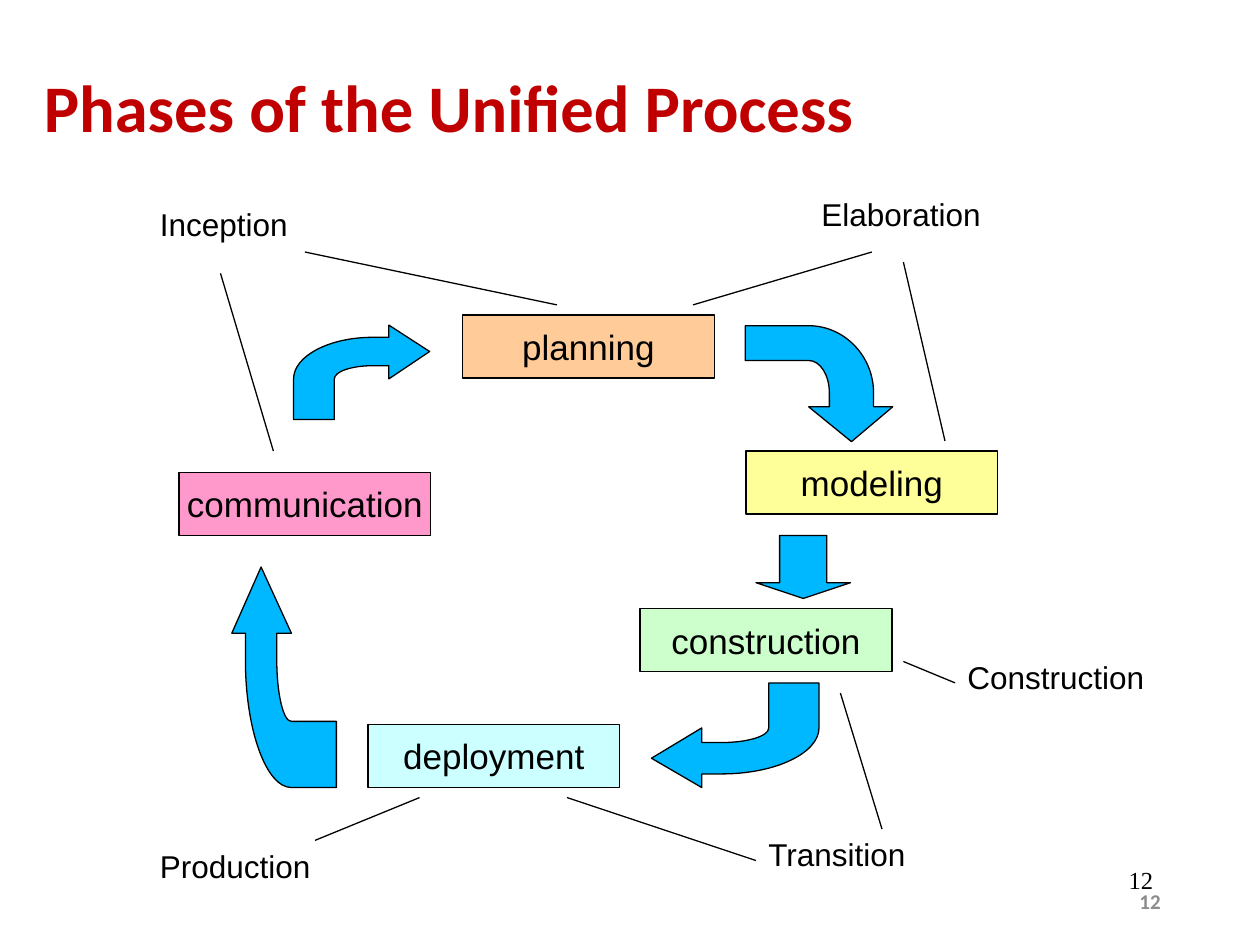
"""Build the slide showing the phases of the Unified Process as a cycle."""
from lxml import etree
from pptx import Presentation
from pptx.dml.color import RGBColor
from pptx.enum.shapes import MSO_CONNECTOR, MSO_SHAPE
from pptx.enum.text import MSO_ANCHOR, MSO_AUTO_SIZE, PP_ALIGN
from pptx.oxml.ns import qn
from pptx.util import Inches, Pt

COLORS = {
    "title": "C00000", "ink": "000000", "number": "8C8C8C", "arrow": "00B8FF",
    "communication": "FF99CC", "planning": "FFCC99", "modeling": "FFFF99",
    "construction": "CCFFCC", "deployment": "CCFFFF",
}


def write(shape, text, size, font="Arial", color="ink", bold=False,
          align=PP_ALIGN.LEFT, anchor=MSO_ANCHOR.TOP, wrap=True, spacing=1.0):
    frame = shape.text_frame
    frame.text = text
    frame.word_wrap = wrap
    frame.vertical_anchor = anchor
    paragraph = frame.paragraphs[0]
    paragraph.alignment = align
    paragraph.line_spacing = spacing
    style = paragraph.runs[0].font
    style.name, style.size, style.bold = font, Pt(size), bold
    style.color.rgb = RGBColor.from_string(COLORS[color])


def paint(shape, color):
    shape.shadow.inherit = False
    shape.fill.solid()
    shape.fill.fore_color.rgb = RGBColor.from_string(COLORS[color])
    shape.line.color.rgb = RGBColor.from_string(COLORS["ink"])
    shape.line.width = Pt(0.75)


deck = Presentation()
deck.slide_width, deck.slide_height = Inches(10), Inches(7.5)
shapes = deck.slides.add_slide(deck.slide_layouts[6]).shapes

date_line = shapes.add_textbox(Inches(7.17), Inches(6.83), Inches(2.08), Inches(0.32))
write(date_line, "12", 14, "Times New Roman", align=PP_ALIGN.RIGHT, spacing=0.95)
date_line.text_frame.auto_size = MSO_AUTO_SIZE.SHAPE_TO_FIT_TEXT

title = shapes.add_textbox(Inches(0.25), Inches(0.25), Inches(8.5), Inches(1.25))
write(title, "Phases of the Unified Process", 38, "Calibri", "title", True,
      anchor=MSO_ANCHOR.MIDDLE, spacing=0.95)

activities = [("communication", 1.42, 3.75), ("planning", 3.67, 2.5),
              ("modeling", 5.92, 3.58), ("construction", 5.08, 4.83),
              ("deployment", 2.92, 5.75)]
for activity, left, top in activities:
    box = shapes.add_shape(MSO_SHAPE.RECTANGLE, Inches(left), Inches(top),
                           Inches(2), Inches(0.5))
    paint(box, activity)
    write(box, activity, 20, align=PP_ALIGN.CENTER, anchor=MSO_ANCHOR.MIDDLE, wrap=False)

# Unit outline of a bent arrow pointing right, with the control points of its two curves
bent_arrow = [(1, 0.28), (0.7, 0), (0.7, 0.13), (0.58, 0.13),
              (0.26, 0.13), (0, 0.33), (0, 0.57), (0, 1), (0.3, 1), (0.3, 0.57),
              (0.3, 0.49), (0.43, 0.43), (0.58, 0.43), (0.7, 0.43), (0.7, 0.57)]
curve_starts = [3, 9]

bends = [(2.33, 2.58, 1.08, 0.75, 0), (6.04, 2.46, 0.92, 1.17, 90),
         (5.17, 5.42, 1.33, 0.83, 180), (1.38, 4.96, 1.75, 0.83, 270)]
for left, top, width, height, angle in bends:
    outline = [(Inches(left + x * width), Inches(top + y * height)) for x, y in bent_arrow]
    builder = shapes.build_freeform(*outline[0])
    builder.add_line_segments(outline[1:], close=True)
    bend = builder.convert_to_shape()
    bend.rotation = angle
    paint(bend, "arrow")
    segments = list(bend.element.iter(qn("a:lnTo")))
    for start in curve_starts:
        curve = etree.Element(qn("a:cubicBezTo"))
        segments[start].addprevious(curve)
        for segment in segments[start:start + 3]:
            curve.append(segment[0])
            segment.getparent().remove(segment)

down_arrow = shapes.add_shape(MSO_SHAPE.DOWN_ARROW, Inches(6), Inches(4.25),
                              Inches(0.75), Inches(0.5))
down_arrow.adjustments[0], down_arrow.adjustments[1] = 0.5, 0.25
paint(down_arrow, "arrow")

phases = [("Inception", 1.17, 1.58, 1.46), ("Elaboration", 6.42, 1.5, 1.75),
          ("Construction", 7.58, 5.17, 1.92), ("Transition", 6, 6.58, 1.57),
          ("Production", 1.17, 6.67, 1.66)]
for phase, left, top, width in phases:
    label = shapes.add_textbox(Inches(left), Inches(top), Inches(width), Inches(0.5))
    write(label, phase, 18, wrap=False)
    label.text_frame.auto_size = MSO_AUTO_SIZE.SHAPE_TO_FIT_TEXT

pointers = [(1.75, 2.17, 2.17, 3.58), (2.42, 2, 4.42, 2.42), (6.92, 2, 5.5, 2.42),
            (7.17, 2.08, 7.5, 3.5), (7.58, 5.42, 7.17, 5.25), (7, 6.58, 6.67, 5.5),
            (6, 6.83, 4.5, 6.33), (2.5, 6.67, 3.33, 6.33)]
for ends in pointers:
    pointer = shapes.add_connector(MSO_CONNECTOR.STRAIGHT, *[Inches(end) for end in ends])
    pointer.line.color.rgb = RGBColor.from_string(COLORS["ink"])
    pointer.line.width = Pt(0.75)
    etree.SubElement(pointer.element.spPr, qn("a:effectLst"))

page_number = shapes.add_textbox(Inches(8.73), Inches(6.95), Inches(0.58), Inches(0.4))
write(page_number, "12", 12, "Calibri", "number", True, PP_ALIGN.RIGHT, MSO_ANCHOR.MIDDLE)

deck.save("out.pptx")
